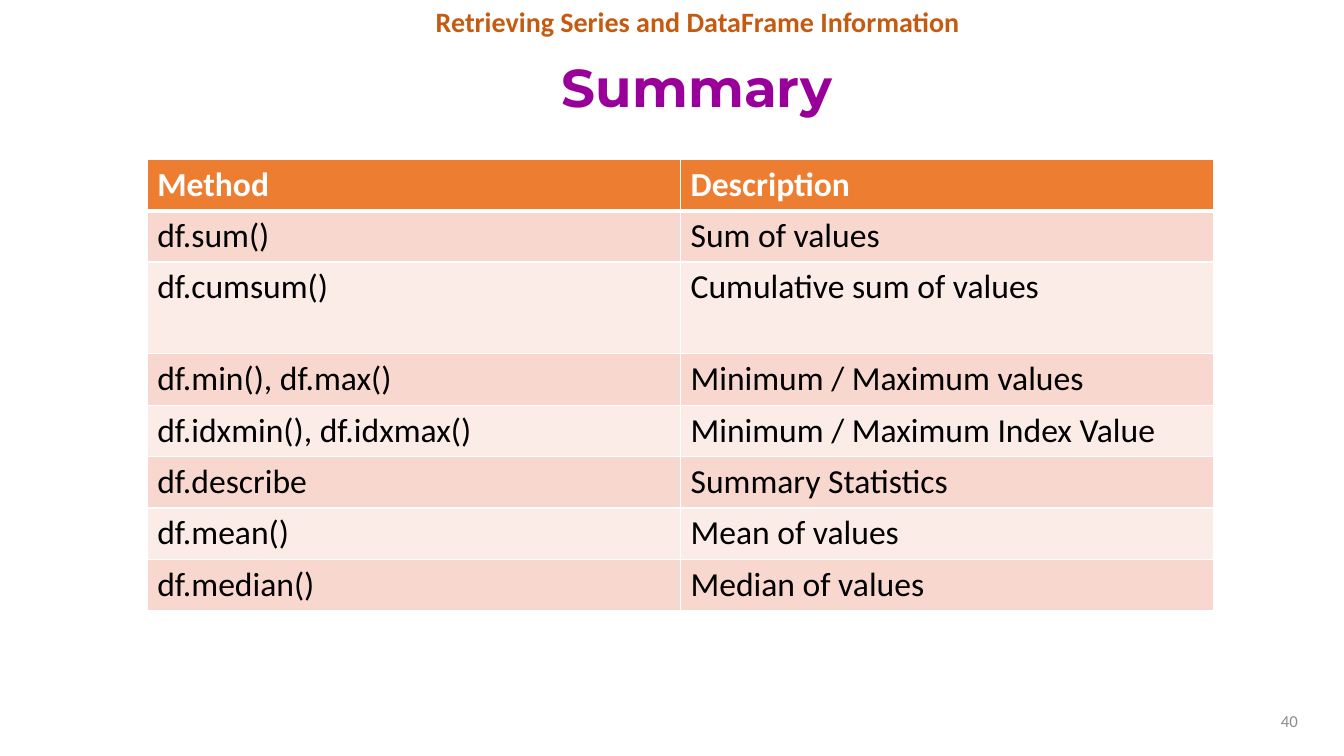
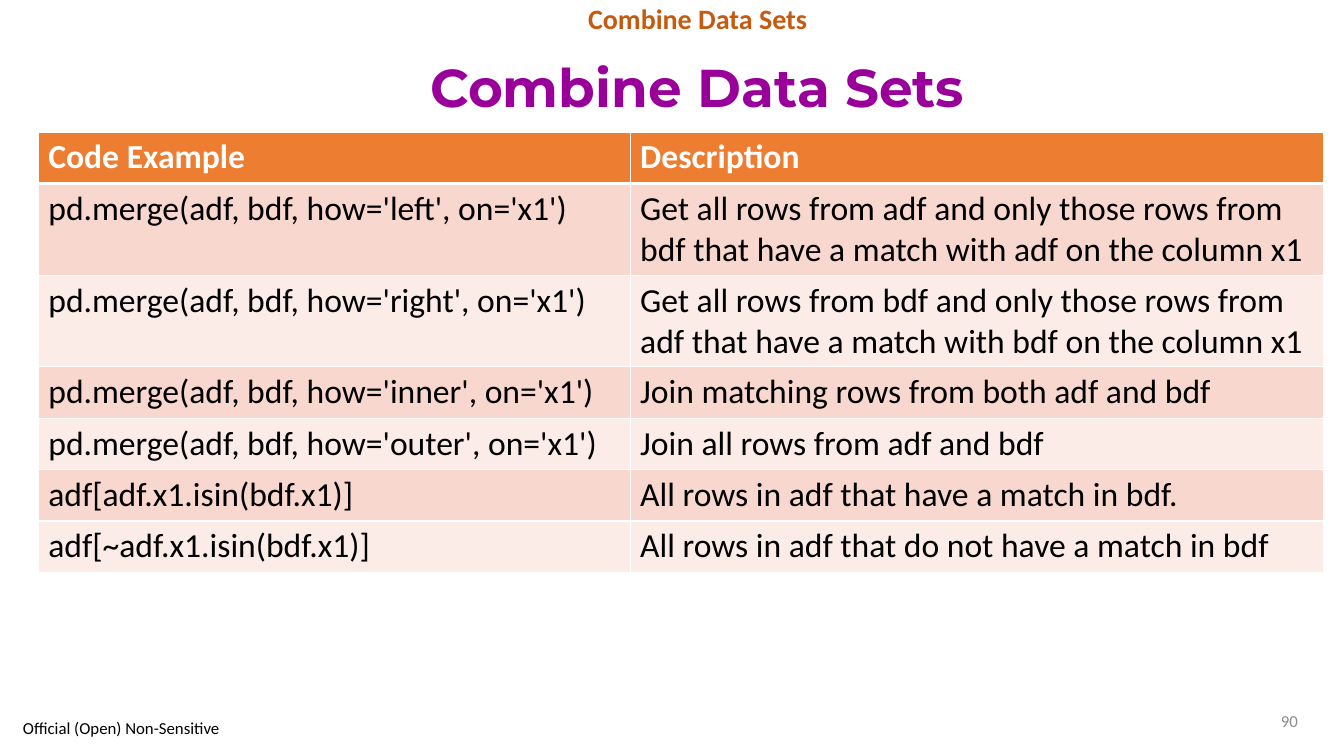
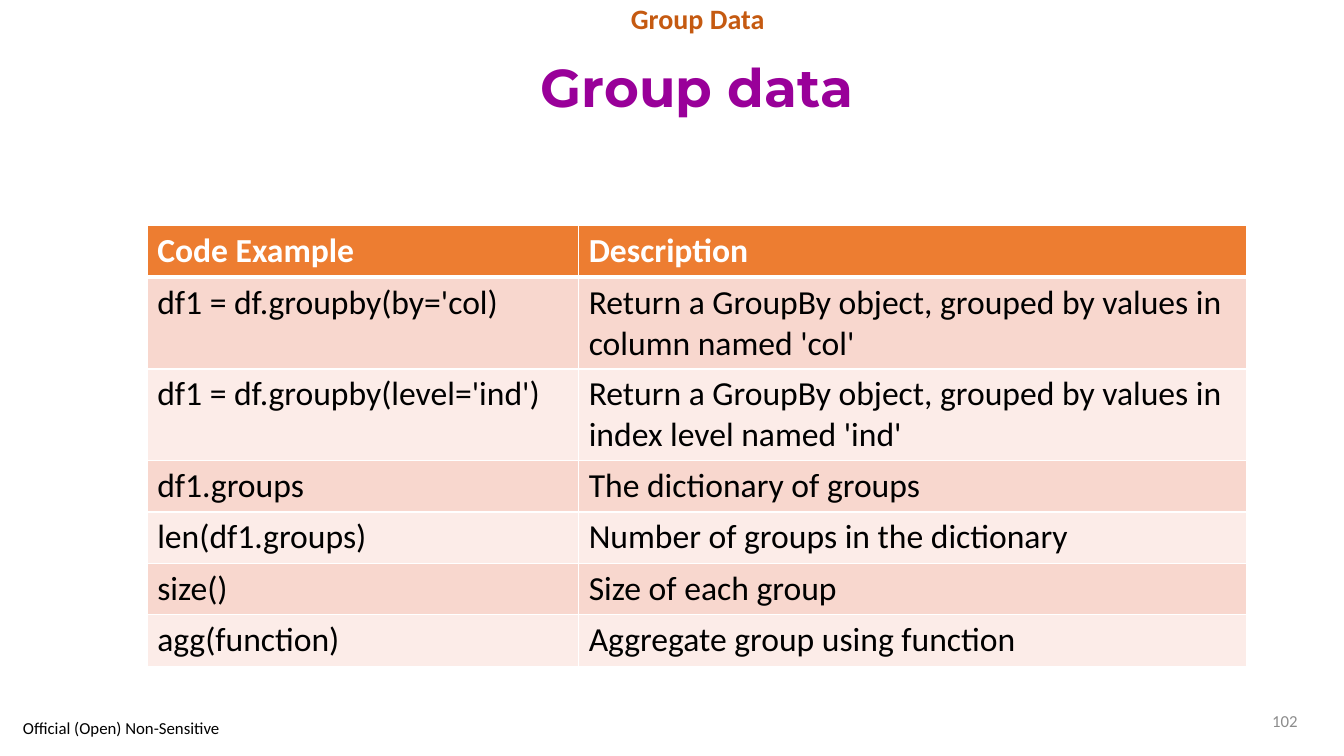
from lxml.etree import SubElement
from pptx import Presentation
from pptx.dml.color import RGBColor as Rgb
from pptx.enum.text import MSO_ANCHOR as Anchor, PP_ALIGN as Align
from pptx.oxml.ns import qn
from pptx.util import Inches, Pt

COLORS = {
    "title": "990099", "topic": "C55A11", "number": "8C8C8C",
    "text": "000000", "white": "FFFFFF",
    "header": "ED7D31", "odd": "F8D7CE", "even": "FCECE8",
}
FONTS = {
    "title": {"name": "Montserrat", "size": Pt(38), "bold": True},
    "topic": {"name": "Calibri", "size": Pt(20), "bold": True},
    "small": {"name": "Calibri", "size": Pt(12), "bold": False},
    "header": {"name": "Calibri", "size": Pt(24), "bold": True},
    "cell": {"name": "Calibri", "size": Pt(24), "bold": False},
}
ROW_HEIGHT, TALL_HEIGHT = 0.51, 0.91
THIN, THICK = 1, 3

SLIDES = [
    {
        "topic": "Retrieving Series and DataFrame Information",
        "topic_spacing": 1.0,
        "title": "Summary",
        "number": "40",
        "at": (1.46, 1.58),
        "columns": (5.29, 5.29),
        "tall": (2,),
        "rows": [
            ("Method", "Description"),
            ("df.sum()", "Sum of values"),
            ("df.cumsum()", "Cumulative sum of values"),
            ("df.min(), df.max()", "Minimum / Maximum values"),
            ("df.idxmin(), df.idxmax()", "Minimum / Maximum Index Value"),
            ("df.describe", "Summary Statistics"),
            ("df.mean()", "Mean of values"),
            ("df.median()", "Median of values"),
        ],
    },
    {
        "topic": "Combine Data Sets",
        "title": "Combine Data Sets",
        "number": "90",
        "footer": "Official (Open) Non-Sensitive",
        "at": (0.38, 1.31),
        "columns": (5.87, 6.88),
        "tall": (1, 2),
        "rows": [
            ("Code Example", "Description"),
            ("pd.merge(adf, bdf, how='left', on='x1')",
             "Get all rows from adf and only those rows from bdf "
             "that have a match with adf on the column x1"),
            ("pd.merge(adf, bdf, how='right', on='x1')",
             "Get all rows from bdf and only those rows from adf "
             "that have a match with bdf on the column x1"),
            ("pd.merge(adf, bdf, how='inner', on='x1')",
             "Join matching rows from both adf and bdf"),
            ("pd.merge(adf, bdf, how='outer', on='x1')",
             "Join all rows from adf and bdf"),
            ("adf[adf.x1.isin(bdf.x1)]",
             "All rows in adf that have a match in bdf."),
            ("adf[~adf.x1.isin(bdf.x1)]",
             "All rows in adf that do not have a match in bdf"),
        ],
    },
    {
        "topic": "Group Data",
        "title": "Group data",
        "number": "102",
        "footer": "Official (Open) Non-Sensitive",
        "at": (1.46, 2.24),
        "columns": (4.28, 6.62),
        "tall": (1, 2),
        "rows": [
            ("Code Example", "Description"),
            ("df1 = df.groupby(by='col)",
             "Return a GroupBy object, grouped by values in "
             "column named 'col'"),
            ("df1 = df.groupby(level='ind')",
             "Return a GroupBy object, grouped by values in "
             "index level named 'ind'"),
            ("df1.groups", "The dictionary of groups"),
            ("len(df1.groups)", "Number of groups in the dictionary"),
            ("size()", "Size of each group"),
            ("agg(function)", "Aggregate group using function"),
        ],
    },
]


class LessonDeck:
    """Holds the lesson style and the slide being built."""

    def __init__(self):
        self.deck = Presentation()
        self.deck.slide_width = Inches(13.33)
        self.deck.slide_height = Inches(7.5)
        self.page = None

    def add_page(self):
        self.page = self.deck.slides.add_slide(self.deck.slide_layouts[6])

    def fill_frame(self, frame, text, font, color, align=Align.LEFT,
                   spacing=1.0):
        para = frame.paragraphs[0]
        para.alignment = align
        para.line_spacing = spacing
        span = para.add_run()
        span.text = text
        for name, value in FONTS[font].items():
            setattr(span.font, name, value)
        span.font.color.rgb = Rgb.from_string(COLORS[color])

    def add_text(self, at, text, font, color, align=Align.LEFT, spacing=1.0,
                 anchor=Anchor.MIDDLE):
        box = self.page.shapes.add_textbox(*map(Inches, at))
        box.text_frame.word_wrap = True
        box.text_frame.vertical_anchor = anchor
        self.fill_frame(box.text_frame, text, font, color, align, spacing)

    def add_borders(self, cell, top, bottom):
        properties = cell._tc.get_or_add_tcPr()
        sides = {"lnL": THIN, "lnR": THIN, "lnT": top, "lnB": bottom}
        for side, width in sides.items():
            line = SubElement(properties, qn(f"a:{side}"), w=str(Pt(width)))
            fill = SubElement(line, qn("a:solidFill"))
            SubElement(fill, qn("a:srgbClr"), val=COLORS["white"])

    def add_table(self, at, columns, rows, tall):
        heights = [TALL_HEIGHT if index in tall else ROW_HEIGHT
                   for index in range(len(rows))]
        extent = (*at, sum(columns), sum(heights))
        table = self.page.shapes.add_table(
            len(rows), len(columns), *map(Inches, extent)).table
        table.horz_banding = False
        for column, width in zip(table.columns, columns):
            column.width = Inches(width)
        for index, (row, texts) in enumerate(zip(table.rows, rows)):
            row.height = Inches(heights[index])
            is_header = index == 0
            font, color = ("header", "white") if is_header else ("cell", "text")
            band = "header" if is_header else ("even", "odd")[index % 2]
            for cell, text in zip(row.cells, texts):
                self.add_borders(cell, THICK if index == 1 else THIN,
                                 THICK if is_header else THIN)
                cell.fill.solid()
                cell.fill.fore_color.rgb = Rgb.from_string(COLORS[band])
                self.fill_frame(cell.text_frame, text, font, color)

    def add_lesson(self, lesson):
        self.add_page()
        self.add_text((0.87, 0.41, 12.09, 0.97), lesson["title"],
                      "title", "title", Align.CENTER, 0.9)
        self.add_text((2.62, 0, 8.6, 0.41), lesson["topic"], "topic", "topic",
                      Align.CENTER, lesson.get("topic_spacing", 0.9), Anchor.TOP)
        self.add_table(lesson["at"], lesson["columns"], lesson["rows"],
                       lesson["tall"])
        self.add_text((9.7, 6.95, 3.27, 0.4), lesson["number"],
                      "small", "number", Align.RIGHT)
        if "footer" in lesson:
            self.add_text((0.13, 7.09, 2.24, 0.26), lesson["footer"],
                          "small", "text")


def main():
    lessons = LessonDeck()
    for lesson in SLIDES:
        lessons.add_lesson(lesson)
    lessons.deck.save("out.pptx")


if __name__ == "__main__":
    main()
